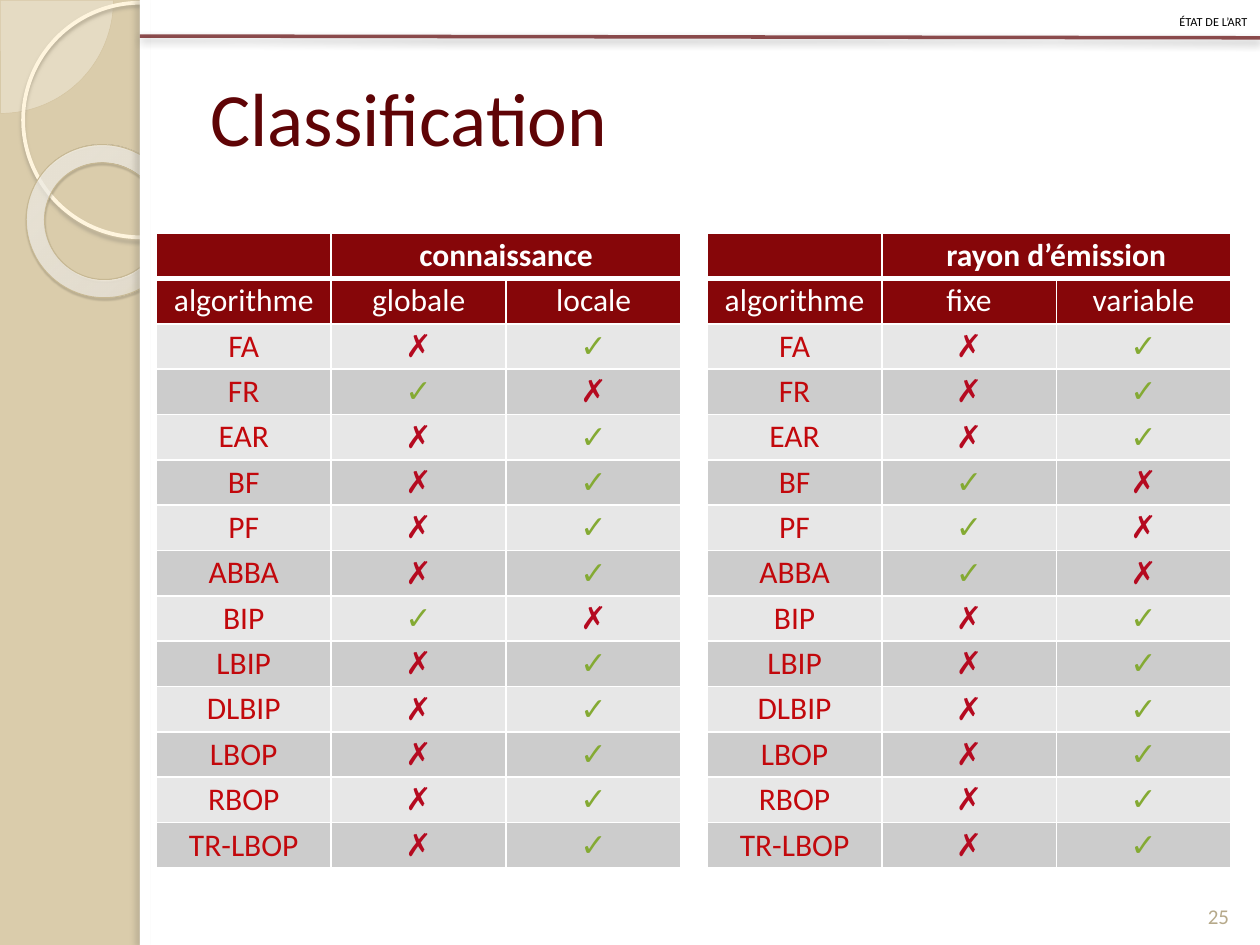
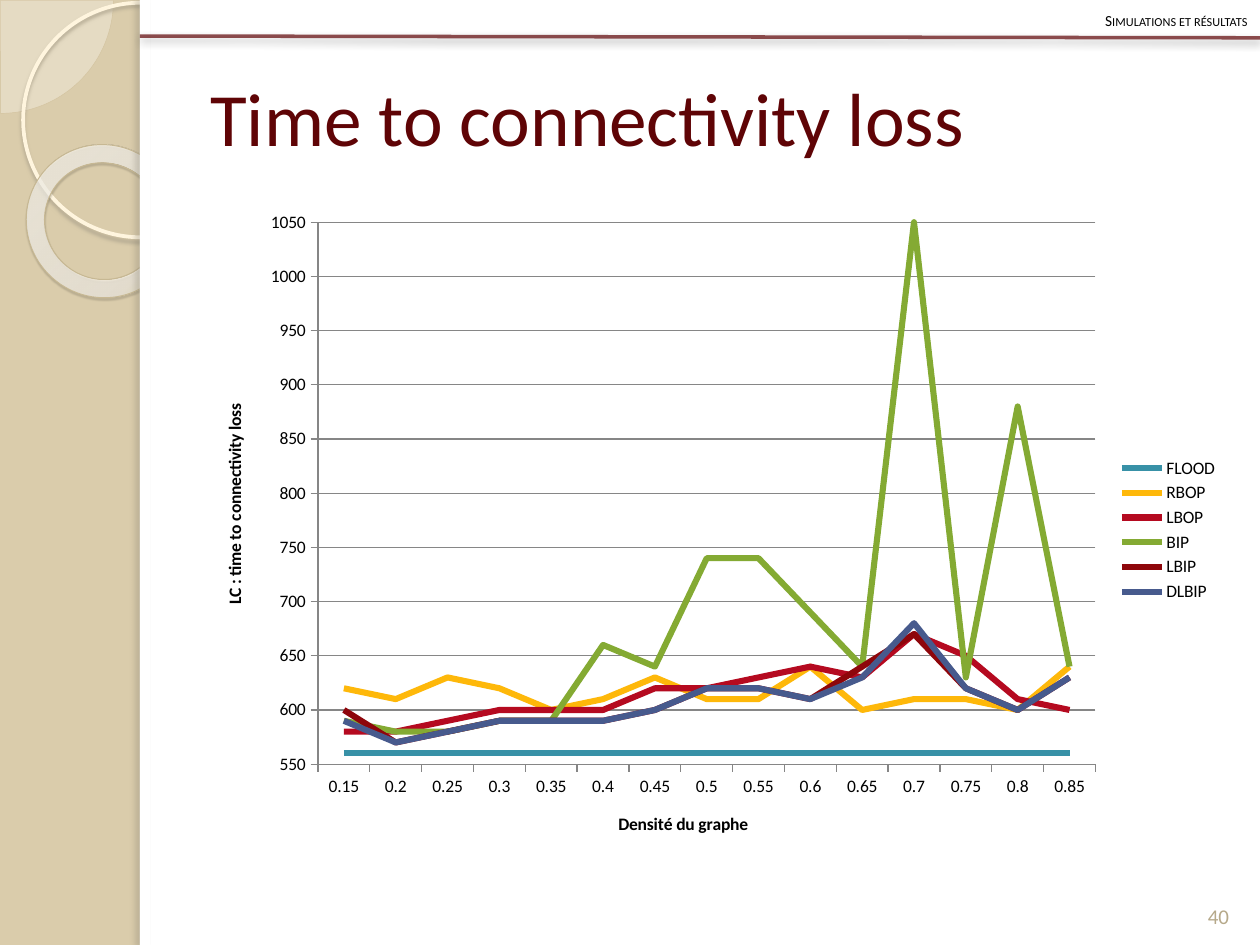
"""Build two slides: a classification of algorithms and a connectivity chart."""
from lxml.etree import SubElement
from pptx import Presentation
from pptx.chart.data import CategoryChartData
from pptx.dml.color import RGBColor as RGB
from pptx.enum.chart import XL_CHART_TYPE, XL_LEGEND_POSITION, XL_MARKER_STYLE, XL_TICK_MARK
from pptx.enum.shapes import MSO_CONNECTOR, MSO_SHAPE
from pptx.enum.text import MSO_ANCHOR as ANCHOR, PP_ALIGN as ALIGN
from pptx.oxml import parse_xml
from pptx.oxml.ns import nsdecls, qn
from pptx.util import Pt

COLORS = {
    "sand": "DACCAB", "white": "FFFFFF", "black": "000000", "title": "5F0406",
    "number": "B6A98A", "header": "860609", "name": "C2080C",
    "no": "B50A20", "yes": "84AA33", "light": "E7E7E7", "dark": "CCCCCC",
    "pie": "FEFAF4", "pie_line": "D3C39F", "ring": "FFF5DE", "ring_shadow": "B0A68F",
    "donut_line": "C7B893", "donut_shadow": "5A5444", "edge_shadow": "736F63",
    "glow_inner": "FFFCF6", "glow_middle": "FFFEFB", "glow_outer": "F0D28E",
    "grid": "868686", "flood": "3891A7", "rbop": "FEB80A", "lbop": "B50A20",
    "bip": "84AA33", "lbip": "8E060B", "dlbip": "475A8D",
}
RGBS = {name: RGB.from_string(value) for name, value in COLORS.items()}
FONT = "Calibri"


def cast_shadow(shape, color, alpha, blur, distance, angle):
    effects = shape.element.spPr.find(qn("a:effectLst"))
    if effects is None:
        effects = SubElement(shape.element.spPr, qn("a:effectLst"))
    shadow = SubElement(effects, qn("a:outerShdw"), blurRad=str(Pt(blur)), dist=str(Pt(distance)),
                        dir=str(angle * 60000), algn="tl", rotWithShape="0")
    tint = SubElement(shadow, qn("a:srgbClr"), val=COLORS[color])
    SubElement(tint, qn("a:alpha"), val=str(alpha * 1000))


def write(frame, text, size, color, align, font=FONT, bold=False):
    frame.text = text
    para = frame.paragraphs[0]
    para.alignment = align
    for span in para.runs:
        span.font.size, span.font.name, span.font.bold = Pt(size), font, bold
        span.font.color.rgb = RGBS[color]


deck = Presentation()
deck.slide_width, deck.slide_height = Pt(720), Pt(540)
layout = deck.slide_layouts[5]
layout.background.fill.solid()
layout.background.fill.fore_color.rgb = RGBS["sand"]
for holder in list(layout.placeholders):
    if holder.placeholder_format.idx:
        holder.element.getparent().remove(holder.element)

PAGES = [("Classification", "état de l’art", "25"),
         ("Time to connectivity loss", "Simulations et résultats", "40")]
pages = []
for title, section, number in PAGES:
    page = deck.slides.add_slide(layout)
    pages.append(page)
    holder = page.shapes.title
    holder.left, holder.top, holder.width, holder.height = Pt(113), Pt(21.6), Pt(590.4), Pt(90)
    holder.text_frame.vertical_anchor = ANCHOR.MIDDLE
    write(holder.text_frame, title, 43, "title", ALIGN.LEFT)

    box = page.shapes.add_textbox(Pt(678.3), Pt(496.8), Pt(36), Pt(37.5))
    box.text_frame.vertical_anchor = ANCHOR.BOTTOM
    write(box.text_frame, number, 12, "number", ALIGN.CENTER)

    box = page.shapes.add_textbox(Pt(0), Pt(0), Pt(720), Pt(20.6))
    box.text_frame.word_wrap = True
    box.text_frame.vertical_anchor = ANCHOR.MIDDLE
    write(box.text_frame, section, 8.8, "black", ALIGN.RIGHT)
    box.text_frame.paragraphs[0].line_spacing = 1.2
    box.element.xpath(".//a:rPr")[0].set("cap", "small")

DECOR = [
    (MSO_SHAPE.PIE, (-64.2, -64.2, 129, 129), "pie", "pie_line", 0.25, None),
    (MSO_SHAPE.OVAL, (13.2, 1.6, 134, 134), None, "ring", 2.15, ("ring_shadow", 85, 2, 2, 90)),
    (MSO_SHAPE.DONUT, (14.7, 82.9, 88.4, 87), None, "donut_line", 0.58,
     ("donut_shadow", 35, 1, 1.2, 75)),
    (MSO_SHAPE.RECTANGLE, (80, 0, 640, 540), "white", None, 0, None),
    (MSO_SHAPE.RECTANGLE, (80, 0, 5.8, 540), "white", None, 0, ("edge_shadow", 25, 3, 3, 180)),
]
decor = []
for kind, place, fill, line, width, shadow in DECOR:
    shape = pages[0].shapes.add_shape(kind, *map(Pt, place))
    decor.append(shape)
    shape.shadow.inherit = False
    if fill:
        shape.fill.solid()
        shape.fill.fore_color.rgb = RGBS[fill]
    else:
        shape.fill.background()
    if line:
        shape.line.color.rgb = RGBS[line]
        shape.line.width = Pt(width)
    else:
        shape.line.fill.background()
    if shadow:
        cast_shadow(shape, *shadow)

pie, ring, donut = decor[:3]
pie.adjustments[0], pie.adjustments[1] = 0, 54.02
SubElement(pie.element.spPr.find(".//" + qn("a:srgbClr")), qn("a:alpha"), val="33000")
donut.rotation = 38.6
donut.adjustments[0] = 0.12
stops = "".join(
    f'<a:gs pos="{pos}000"><a:srgbClr val="{COLORS[color]}"><a:alpha val="{alpha}000"/>'
    '</a:srgbClr></a:gs>'
    for pos, color, alpha in [(0, "glow_inner", 70), (70, "glow_middle", 55),
                              (100, "glow_outer", 60)])
glow = parse_xml(
    f'<a:gradFill {nsdecls("a")} rotWithShape="1"><a:gsLst>{stops}</a:gsLst><a:path path="circle">'
    '<a:fillToRect l="-408000" t="-50000" r="508000" b="150000"/></a:path></a:gradFill>')
properties = donut.element.spPr
properties.replace(properties.find(qn("a:noFill")), glow)

rule = pages[0].shapes.add_connector(MSO_CONNECTOR.STRAIGHT, Pt(80), Pt(20.6), Pt(720), Pt(21.6))
rule.line.color.rgb = RGBS["title"]
rule.line.width = Pt(2)
SubElement(rule.element.spPr.find(".//" + qn("a:srgbClr")), qn("a:alpha"), val="70000")
cast_shadow(rule, "black", 43, 5, 2, 90)
for shape in decor + [rule]:
    layout.shapes.element.append(shape.element)

ALGORITHMS = ["FA", "FR", "EAR", "BF", "PF", "ABBA", "BIP", "LBIP", "DLBIP", "LBOP", "RBOP",
              "TR-LBOP"]
TABLES = [
    (89.3, 100, "connaissance", ["globale", "locale"], {"FR", "BIP"}),
    (404.2, 99.7, "rayon d’émission", ["fixe", "variable"], {"BF", "PF", "ABBA"}),
]
for left, column_width, heading, options, first_option in TABLES:
    rows = [["", heading, ""], ["algorithme"] + options]
    rows += [[name] + (["✓", "✗"] if name in first_option else ["✗", "✓"]) for name in ALGORITHMS]
    frame = pages[0].shapes.add_table(len(rows), 3, Pt(left), Pt(133.2), Pt(3 * column_width),
                                      Pt(362.88))
    table = frame.table
    for column in table.columns:
        column.width = Pt(column_width)
    for r, texts in enumerate(rows):
        table.rows[r].height = Pt(25.92)
        for c, text in enumerate(texts):
            cell = table.cell(r, c)
            cell.margin_left = cell.margin_right = cell.margin_top = cell.margin_bottom = 0
            cell.vertical_anchor = ANCHOR.MIDDLE
            cell.fill.solid()
            cell.fill.fore_color.rgb = RGBS["header" if r < 2 else ("light", "dark")[r % 2]]
            color = "white" if r < 2 else {"✓": "yes", "✗": "no"}.get(text, "name")
            font = "Arial" if text in ("✓", "✗") else FONT
            write(cell.text_frame, text, 18, color, ALIGN.CENTER, font, r == 0)
    for index, cell_properties in enumerate(frame.element.xpath(".//a:tcPr")):
        for position, side in enumerate("LRTB"):
            thick = (index // 3, side) in [(0, "B"), (1, "T")]
            cell_properties.insert(position, parse_xml(
                f'<a:ln{side} {nsdecls("a")} w="{Pt(3 if thick else 1)}"><a:solidFill>'
                f'<a:srgbClr val="{COLORS["white"]}"/></a:solidFill></a:ln{side}>'))
    table.cell(0, 1).merge(table.cell(0, 2))

SERIES = {
    "FLOOD": [560] * 15,
    "RBOP": [620, 610, 630, 620, 600, 610, 630, 610, 610, 640, 600, 610, 610, 600, 640],
    "LBOP": [580, 580, 590, 600, 600, 600, 620, 620, 630, 640, 630, 670, 650, 610, 600],
    "BIP": [590, 580, 580, 590, 590, 660, 640, 740, 740, 690, 640, 1050, 630, 880, 640],
    "LBIP": [600, 570, 580, 590, 590, 590, 600, 620, 620, 610, 640, 670, 620, 600, 630],
    "DLBIP": [590, 570, 580, 590, 590, 590, 600, 620, 620, 610, 630, 680, 620, 600, 630],
}
data = CategoryChartData()
data.categories = [f"{density / 100:g}" for density in range(15, 90, 5)]
for name, values in SERIES.items():
    data.add_series(name, values)
chart = pages[1].shapes.add_chart(XL_CHART_TYPE.LINE, Pt(113), Pt(113.8), Pt(590.4), Pt(378),
                                  data).chart
chart.has_title = False
chart.font.size, chart.font.name = Pt(10), FONT
chart.font.color.rgb = RGBS["black"]
chart.has_legend = True
chart.legend.position = XL_LEGEND_POSITION.RIGHT
chart.legend.include_in_layout = False
chart.plots[0].vary_by_categories = False
for series in chart.plots[0].series:
    series.smooth = False
    series.marker.style = XL_MARKER_STYLE.NONE
    series.format.line.width = Pt(3.5)
    series.format.line.color.rgb = RGBS[series.name.lower()]

values_axis = chart.value_axis
values_axis.minimum_scale, values_axis.maximum_scale, values_axis.major_unit = 550, 1050, 50
values_axis.has_major_gridlines = True
AXES = [(chart.category_axis, "Densité du graphe"),
        (values_axis, "LC : time to connectivity loss")]
for axis, label in AXES:
    axis.major_tick_mark = XL_TICK_MARK.OUTSIDE
    axis.minor_tick_mark = XL_TICK_MARK.NONE
    write(axis.axis_title.text_frame, label, 10, "black", ALIGN.CENTER, bold=True)
for part in (chart.category_axis, values_axis, values_axis.major_gridlines):
    part.format.line.color.rgb = RGBS["grid"]
    part.format.line.width = Pt(0.75)

deck.save("out.pptx")
